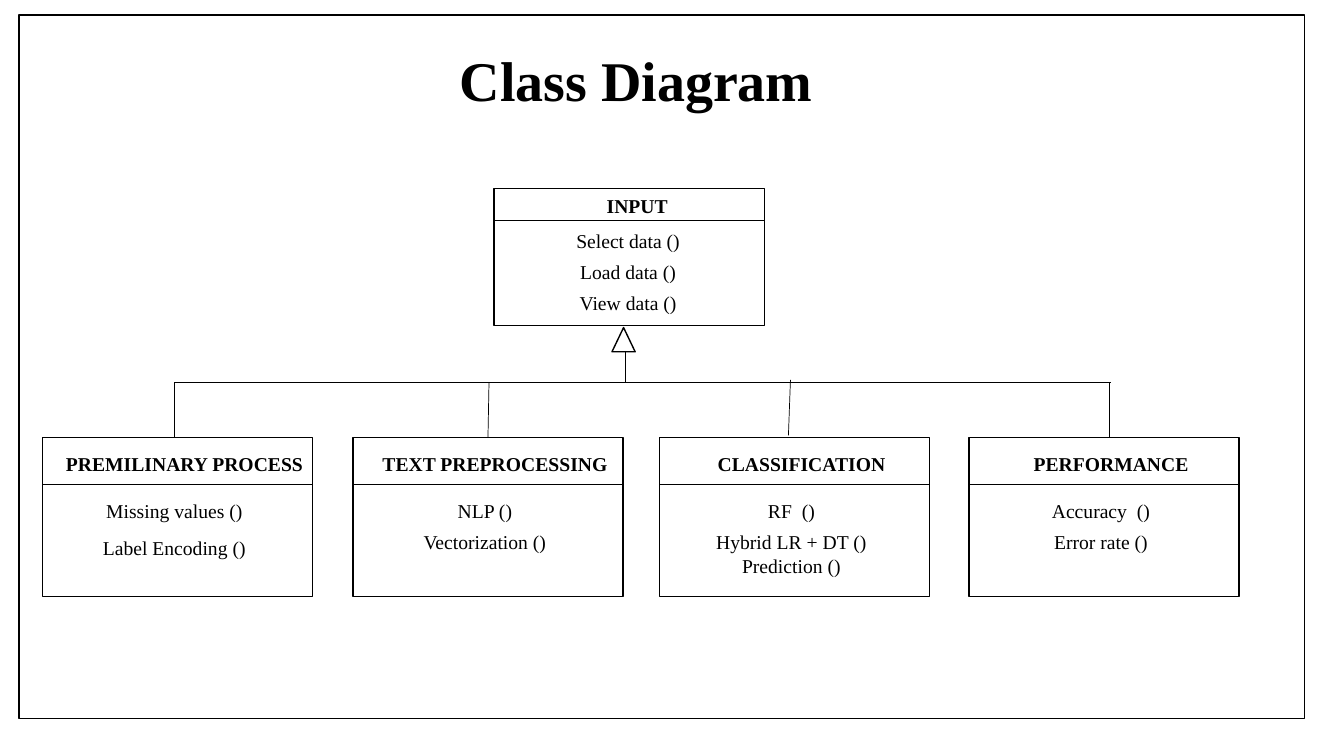
from dataclasses import dataclass

import pptx
import pptx.util
import pptx.dml.color
import pptx.enum.shapes
import pptx.enum.text
import pptx.oxml.ns
from lxml import etree
from pptx.util import Inches

SHAPE = pptx.enum.shapes.MSO_SHAPE


@dataclass(frozen=True)
class Theme:
    ink: pptx.dml.color.RGBColor = pptx.dml.color.RGBColor(0, 0, 0)
    paper: pptx.dml.color.RGBColor = pptx.dml.color.RGBColor(255, 255, 255)
    font: str = "Times New Roman"
    title: int = 40
    body: int = 14
    edge: float = 1
    wire: float = 0.5


@dataclass(frozen=True)
class Layout:
    """Offsets inside a class box, in inches."""
    height: float
    head: float
    head_mid: float
    rule: float
    rows: float
    row_mid: float


THEME = Theme()
WIDTH = 2.68
PARENT = Layout(1.36, 0, 1.42, 0.32, 0.35, 1.33)
CHILD = Layout(1.58, 0.09, 1.41, 0.47, 0.56, 1.31)


def add_text(slide, text, mid, top, width, height, size, bold=False):
    """Add text centred on the x position mid."""
    box = slide.shapes.add_textbox(
        Inches(mid - width / 2), Inches(top), Inches(width), Inches(height))
    frame = box.text_frame
    frame.word_wrap = True
    frame.margin_left = frame.margin_right = 0
    frame.text = text
    for para in frame.paragraphs:
        para.alignment = pptx.enum.text.PP_ALIGN.CENTER
        for run in para.runs:
            run.font.name = THEME.font
            run.font.size = pptx.util.Pt(size)
            run.font.bold = bold
            run.font.color.rgb = THEME.ink


def add_box(slide, kind, left, top, width, height, filled=True):
    box = slide.shapes.add_shape(
        kind, Inches(left), Inches(top), Inches(width), Inches(height))
    box.shadow.inherit = False
    if filled:
        box.fill.solid()
        box.fill.fore_color.rgb = THEME.paper
    else:
        box.fill.background()
    box.line.color.rgb = THEME.ink
    box.line.width = pptx.util.Pt(THEME.edge)
    return box


def add_line(slide, x1, y1, x2, y2):
    line = slide.shapes.add_connector(
        pptx.enum.shapes.MSO_CONNECTOR.STRAIGHT,
        Inches(x1), Inches(y1), Inches(x2), Inches(y2))
    line.line.color.rgb = THEME.ink
    line.line.width = pptx.util.Pt(THEME.wire)
    etree.SubElement(line._element.spPr, pptx.oxml.ns.qn("a:effectLst"))
    return line


def add_class(slide, name, left, top, rows, layout):
    """Draw a class box; rows holds pairs of text and extra drop."""
    box = add_box(slide, SHAPE.RECTANGLE, left, top, WIDTH, layout.height)
    rule = top + layout.rule
    add_line(slide, left, rule, left + WIDTH, rule)
    add_text(slide, name, left + layout.head_mid, top + layout.head,
             2.55, 0.34, THEME.body, bold=True)
    for i, (text, drop) in enumerate(rows):
        add_text(slide, text, left + layout.row_mid,
                 top + layout.rows + 0.31 * i + drop,
                 2.3, 0.34 + 0.23 * text.count("\n"), THEME.body)
    return box


def main():
    deck = pptx.Presentation()
    deck.slide_width, deck.slide_height = Inches(13.33), Inches(7.5)
    slide = deck.slides.add_slide(deck.slide_layouts[6])

    add_text(slide, "Class Diagram", 6.31, 0.4, 11.04, 0.77,
             THEME.title, bold=True)
    add_box(slide, SHAPE.RECTANGLE, 0.19, 0.15, 12.75, 6.98, filled=False)
    add_class(slide, "INPUT", 4.9, 1.87,
              [("Select data ()", 0), ("Load data ()", 0),
               ("View data ()", 0)], PARENT)

    bus, top = 3.79, 4.34
    # Name, left edge, rows, and the wire's upper x, lower x and lift
    kids = [
        ("PREMILINARY PROCESS", 0.42,
         [("Missing values ()", 0), ("Label Encoding ()", 0.06)],
         1.73, 1.73, 0),
        ("TEXT PREPROCESSING", 3.5,
         [("NLP ()", 0), ("Vectorization ()", 0)], 4.85, 4.84, 0),
        ("CLASSIFICATION", 6.54,
         [("RF  ()", 0), ("Hybrid LR + DT ()\nPrediction ()", 0)],
         7.84, 7.82, 0.02),
        ("PERFORMANCE", 9.61,
         [("Accuracy  ()", 0), ("Error rate ()", 0)], 11, 11, 0),
    ]
    for name, left, rows, upper, lower, lift in kids:
        box = add_class(slide, name, left, top, rows, CHILD)
        wire = add_line(slide, upper, bus - lift, lower, top - lift)
        if abs(lower - left - WIDTH / 2) < 0.01:
            wire.end_connect(box, 0)

    add_line(slide, 1.73, bus, 11.02, bus)
    add_box(slide, SHAPE.ISOSCELES_TRIANGLE, 6.07, 3.25, 0.23, 0.24)
    add_line(slide, 6.2, 3.48, 6.2, bus)
    deck.save("out.pptx")


if __name__ == "__main__":
    main()
